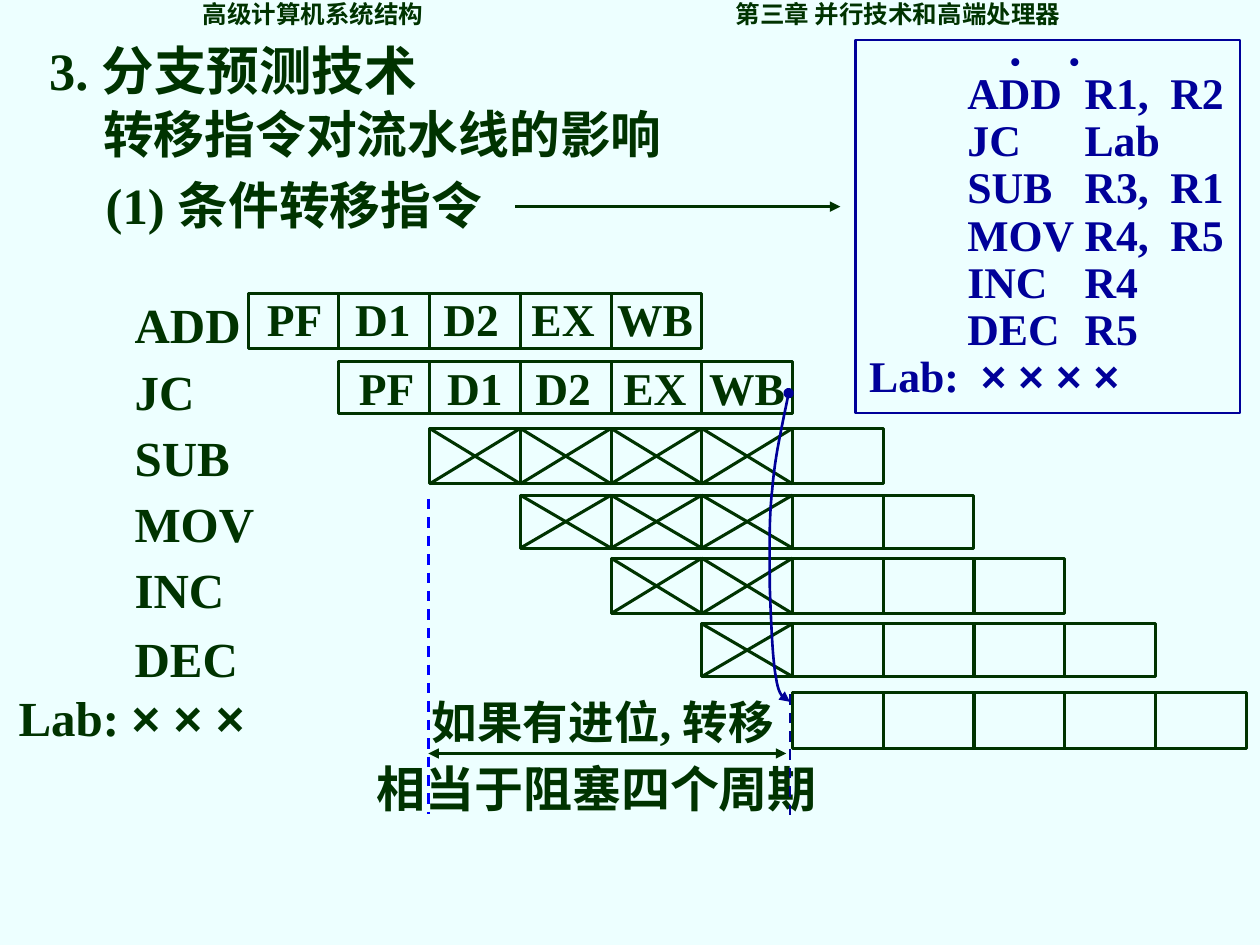
from lxml import etree
from pptx import Presentation
from pptx.dml.color import RGBColor
from pptx.enum.dml import MSO_LINE
from pptx.enum.shapes import MSO_CONNECTOR, MSO_SHAPE
from pptx.enum.text import MSO_ANCHOR, MSO_AUTO_SIZE, PP_ALIGN
from pptx.oxml.ns import qn
from pptx.util import Inches, Pt

STRAIGHT, RECTANGLE = MSO_CONNECTOR.STRAIGHT, MSO_SHAPE.RECTANGLE
DASH = MSO_LINE.DASH
LATIN, CHINESE, SYMBOL = "Times New Roman", "Noto Sans CJK SC", "Arial"
COLORS = {"paper": "EDFFFF", "green": "003300", "navy": "000099", "blue": "0000FF"}

# Content: text, left, top, width, height, size
TITLE = ("3. 分支预测技术", 0.29, 0.25, 4.03, 0.6, 30)
HEADINGS = [
    ("转移指令对流水线的影响", 0.72, 0.77, 5.24, 0.59, 29),
    ("(1) 条件转移指令", 0.74, 1.33, 3.63, 0.59, 29),
    ("如果有进位, 转移", 3.33, 5.46, 3.21, 0.54, 26),
    ("相当于阻塞四个周期", 2.89, 5.97, 4, 0.57, 28),
]
HEADER = "高级计算机系统结构\t第三章 并行技术和高端处理器"
LISTING = [
    "\tADD\tR1,\tR2",
    "\tJC\tLab",
    "\tSUB\tR3,\tR1",
    "\tMOV\tR4,\tR5",
    "\tINC\tR4",
    "\tDEC\tR5",
    ["Lab:  ", ("× × × ×", SYMBOL)],
]
STAGES = "PF\tD1\tD2\tEX\tWB"
# Instruction, label top, bar top, bar height, stalled cells
PIPELINE = [
    ("ADD", 2.29, 2.33, 0.44, 0),
    ("JC", 2.82, 2.87, 0.41, 0),
    ("SUB", 3.34, 3.40, 0.44, 4),
    ("MOV", 3.87, 3.93, 0.42, 3),
    ("INC", 4.39, 4.43, 0.44, 2),
    ("DEC", 4.94, 4.95, 0.42, 1),
    (["Lab: ", ("× × ×", SYMBOL)], 5.41, 5.50, 0.44, 0),
]
STAGE_TEXT = [(2.02, 2.26), (2.75, 2.81)]  # left, top for ADD and JC
FIRST_LEFT, CELL, CELLS = 1.97, 0.72, 5
JUMP_START = (6.26, 3.12)
JUMP_CURVES = [
    ((6.21, 3.37), (6.15, 3.62), (6.13, 3.88)),
    ((6.10, 4.14), (6.11, 4.41), (6.11, 4.66)),
    ((6.12, 4.91), (6.13, 5.23), (6.16, 5.38)),
    ((6.18, 5.53), (6.23, 5.55), (6.27, 5.57)),
]

deck = Presentation()
deck.slide_width, deck.slide_height = Inches(10), Inches(7.5)
page = deck.slides.add_slide(deck.slide_layouts[5])


def color(name):
    return RGBColor.from_string(COLORS[name])


def add_text(lines, left, top, width, height, size, tint="green", font=LATIN,
             spacing=None, tabs=(), wrap=True, box=None):
    """Each line is a string or a list of strings and (text, font) pairs."""
    box = box or page.shapes.add_textbox(0, 0, 0, 0)
    box.left, box.top, box.width, box.height = map(Inches, (left, top, width, height))
    frame = box.text_frame
    frame.word_wrap = wrap
    frame.auto_size = MSO_AUTO_SIZE.NONE
    frame.vertical_anchor = MSO_ANCHOR.TOP
    for index, line in enumerate(lines):
        para = frame.add_paragraph() if index else frame.paragraphs[0]
        para.alignment = PP_ALIGN.LEFT
        if spacing:
            para.line_spacing = spacing
        for part in [line] if isinstance(line, str) else line:
            words, face = (part, font) if isinstance(part, str) else part
            span = para.add_run()
            span.text = words
            span.font.size, span.font.bold = Pt(size), True
            span.font.color.rgb = color(tint)
            span.font.name = face
            east = etree.SubElement(span.font._element, qn("a:ea"))
            east.set("typeface", CHINESE)
        if tabs:
            stops = etree.SubElement(para._p.get_or_add_pPr(), qn("a:tabLst"))
            for position in tabs:
                etree.SubElement(stops, qn("a:tab"), pos=str(Inches(position)), algn="l")
    return box


def style_line(shape, tint, weight, dash=None, head=None, tail=None):
    shape.line.color.rgb = color(tint)
    shape.line.width = Pt(weight)
    if dash:
        shape.line.dash_style = dash
    for tag, kind in (("a:headEnd", head), ("a:tailEnd", tail)):
        if kind:
            etree.SubElement(shape.line._get_or_add_ln(), qn(tag), type=kind)


def add_line(x1, y1, x2, y2, tint="green", weight=1.75, **ends):
    line = page.shapes.add_connector(STRAIGHT, *map(Inches, (x1, y1, x2, y2)))
    style_line(line, tint, weight, **ends)
    etree.SubElement(line._element.spPr, qn("a:effectLst"))


def add_frame(left, top, width, height, tint="green", weight=1.75):
    frame = page.shapes.add_shape(RECTANGLE, *map(Inches, (left, top, width, height)))
    frame.shadow.inherit = False
    frame.fill.background()
    style_line(frame, tint, weight)


def curve_points(start, curves, steps=12):
    """Points along a chain of cubic curves."""
    for first, second, end in curves:
        for step in range(1, steps + 1):
            t = step / steps
            weights = ((1 - t) ** 3, 3 * t * (1 - t) ** 2, 3 * t * t * (1 - t), t ** 3)
            knots = (start, first, second, end)
            yield tuple(Inches(sum(w * knot[axis] for w, knot in zip(weights, knots)))
                        for axis in (0, 1))
        start = end


# Background, title and headings
page.background.fill.solid()
page.background.fill.fore_color.rgb = color("paper")
add_text([TITLE[0]], *TITLE[1:], box=page.shapes.title)
for words, *place in HEADINGS:
    add_text([words], *place)
add_text([HEADER], 1.51, 0.01, 7.01, 0.27, 14, font=CHINESE, spacing=0.7,
         tabs=[4.23], wrap=False)

# Program listing
add_frame(6.79, 0.32, 3.05, 2.96, "navy", 1.25)
add_text(LISTING, 6.8, 0.52, 3.37, 2.73, 25, "navy", spacing=0.9,
         tabs=[0.78, 1.71, 2.39])
dots = add_text([".."], 8.28, 0.35, 0.66, 0.33, 28, "navy")
dots_frame = dots.text_frame
dots_frame.margin_left = dots_frame.margin_right = Inches(0.05)
dots_frame.margin_top = dots_frame.margin_bottom = Inches(0.1)
dots_frame._txBody.bodyPr.set("vert", "eaVert")
add_line(4.09, 1.64, 6.67, 1.64, weight=1.5, tail="triangle")

# Pipeline: each bar starts one cell later, stalled cells are crossed out
for row, (name, label_top, top, height, stalled) in enumerate(PIPELINE):
    label_left = 0.97 if isinstance(name, str) else 0.05
    add_text([name], label_left, label_top, 2.16, 0.57, 28)
    left, bottom = FIRST_LEFT + row * CELL, top + height
    add_frame(left, top, CELL * CELLS, height)
    for cell in range(1, CELLS):
        add_line(left + cell * CELL, top, left + cell * CELL, bottom)
    for cell in range(stalled):
        start, end = left + cell * CELL, left + (cell + 1) * CELL
        add_line(start, top, end, bottom)
        add_line(end, top, start, bottom)
for left, top in STAGE_TEXT:
    add_text([STAGES], left, top, 4.07, 0.54, 26, tabs=[0.7, 1.4, 2.1, 2.78])

# Jump from JC to Lab
builder = page.shapes.build_freeform(*map(Inches, JUMP_START))
builder.add_line_segments(list(curve_points(JUMP_START, JUMP_CURVES)), close=False)
jump = builder.convert_to_shape()
jump.shadow.inherit = False
jump.fill.background()
style_line(jump, "navy", 1.5, head="oval", tail="triangle")

# Stall span
add_line(3.4, 3.96, 3.4, 6.46, "blue", 1.5, dash=DASH)
add_line(6.27, 5.51, 6.27, 6.48, "navy", 1.5, dash=DASH)
add_line(3.4, 5.98, 6.24, 5.98, weight=1.5, head="triangle", tail="triangle")

deck.save("out.pptx")
